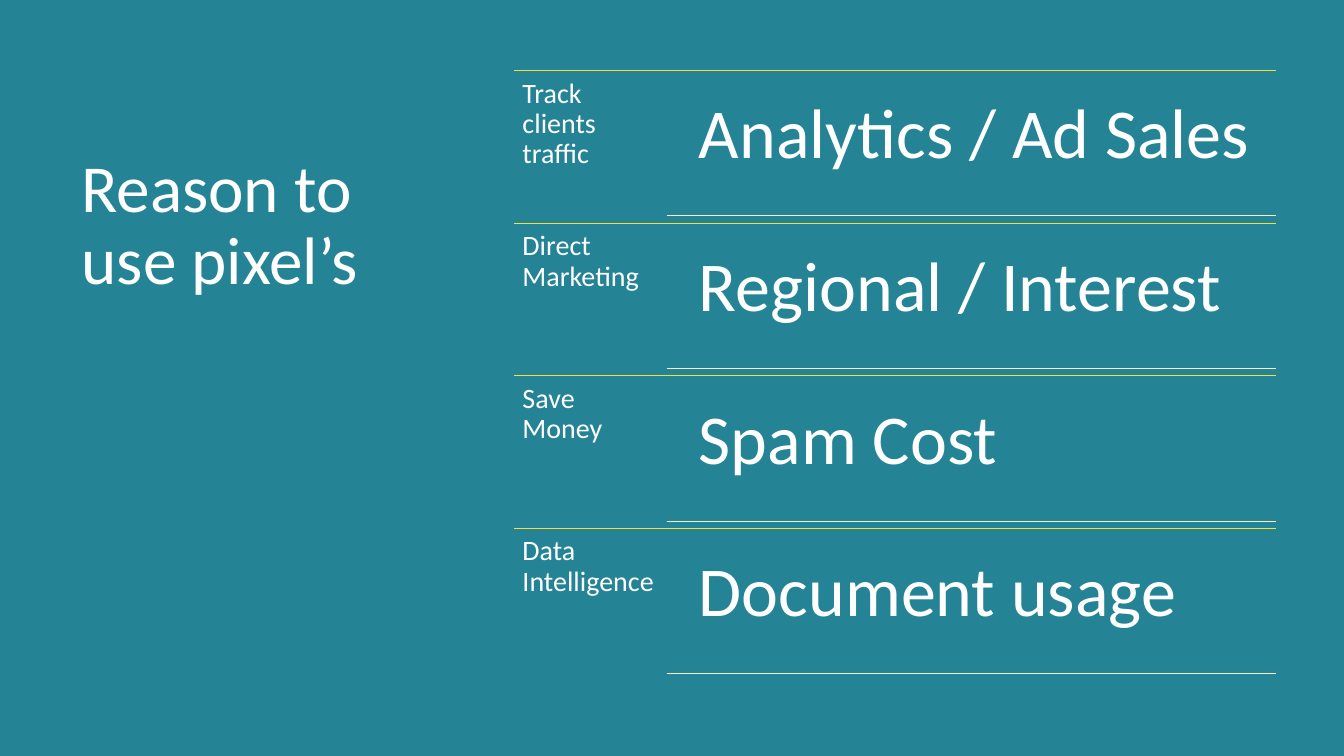
from dataclasses import dataclass

from lxml import etree
from pptx import Presentation
from pptx.dml.color import RGBColor
from pptx.enum.shapes import MSO_CONNECTOR, MSO_SHAPE
from pptx.enum.text import MSO_ANCHOR, MSO_AUTO_SIZE, PP_ALIGN
from pptx.oxml.ns import qn
from pptx.util import Pt

RECT, LINE = MSO_SHAPE.RECTANGLE, MSO_CONNECTOR.STRAIGHT
TOP, LEFT, FIXED = MSO_ANCHOR.TOP, PP_ALIGN.LEFT, MSO_AUTO_SIZE.NONE

TITLE = "Reason to use pixel’s"
REASONS = [
    ("Track clients traffic", "Analytics / Ad Sales"),
    ("Direct Marketing", "Regional / Interest"),
    ("Save Money", "Spam Cost"),
    ("Data Intelligence", "Document usage"),
]


@dataclass(frozen=True)
class Theme:
    font: str = "Calibri"
    teal: str = "258396"
    white: str = "FFFFFF"
    gold: str = "F4DE3A"
    cream: str = "FAEFBF"
    title: int = 48
    label: int = 20
    use: int = 50
    rule: float = 0.5


THEME = Theme()
WIDE, HIGH, SIDE = 960, 540, 320.4
START, END, FIRST, PITCH = 367.2, 911.5, 50.4, 109
SPLIT = START + PITCH


def color(code):
    return RGBColor.from_string(code)


def write(frame, text, size, inset):
    frame.word_wrap, frame.auto_size = True, FIXED
    frame.vertical_anchor = TOP
    frame.margin_left = frame.margin_right = Pt(inset[0])
    frame.margin_top = frame.margin_bottom = Pt(inset[1])
    frame.text = text
    para = frame.paragraphs[0]
    para.alignment, para.line_spacing = LEFT, 0.9
    font = para.runs[0].font
    font.name, font.size = THEME.font, Pt(size)
    font.color.rgb = color(THEME.white)


def add_text(slide, box, text, size, inset):
    shape = slide.shapes.add_textbox(*map(Pt, box))
    write(shape.text_frame, text, size, (inset, inset))


def add_rule(slide, left, top, hue):
    rule = slide.shapes.add_connector(LINE, Pt(left), Pt(top), Pt(END), Pt(top))
    rule.line.color.rgb, rule.line.width = color(hue), Pt(THEME.rule)
    etree.SubElement(rule._element.spPr, qn("a:effectLst"))


def add_panel(slide, left, width):
    panel = slide.shapes.add_shape(RECT, Pt(left), 0, Pt(width), Pt(HIGH))
    panel.shadow.inherit = False
    panel.fill.solid()
    panel.fill.fore_color.rgb = color(THEME.teal)
    panel.line.fill.background()
    return panel


def main():
    """Build the slide of reasons to use pixels."""
    deck = Presentation()
    deck.slide_width, deck.slide_height = Pt(WIDE), Pt(HIGH)
    slide = deck.slides.add_slide(deck.slide_layouts[5])
    slide.background.fill.solid()
    slide.background.fill.fore_color.rgb = color(THEME.teal)

    veil = add_panel(slide, SIDE, WIDE - SIDE)
    tint = veil._element.spPr.find(".//" + qn("a:srgbClr"))
    etree.SubElement(tint, qn("a:alpha")).set("val", "20000")
    add_panel(slide, 0, SIDE)

    title = slide.shapes.title
    title.left, title.top, title.width, title.height = map(Pt, (51, 106.6, 231, 350.6))
    write(title.text_frame, TITLE, THEME.title, (7.2, 3.6))
    slide.shapes._spTree.append(title._element)

    for row, (label, use) in enumerate(REASONS):
        top = FIRST + row * PITCH
        add_rule(slide, START, top, THEME.gold)
        add_text(slide, (START, top, PITCH, PITCH), label, THEME.label, 6)
        add_text(slide, (SPLIT + 8, top + 5, 427, 98.6), use, THEME.use, 15)
        add_rule(slide, SPLIT, top + 103.8, THEME.cream)

    deck.save("out.pptx")


if __name__ == "__main__":
    main()
